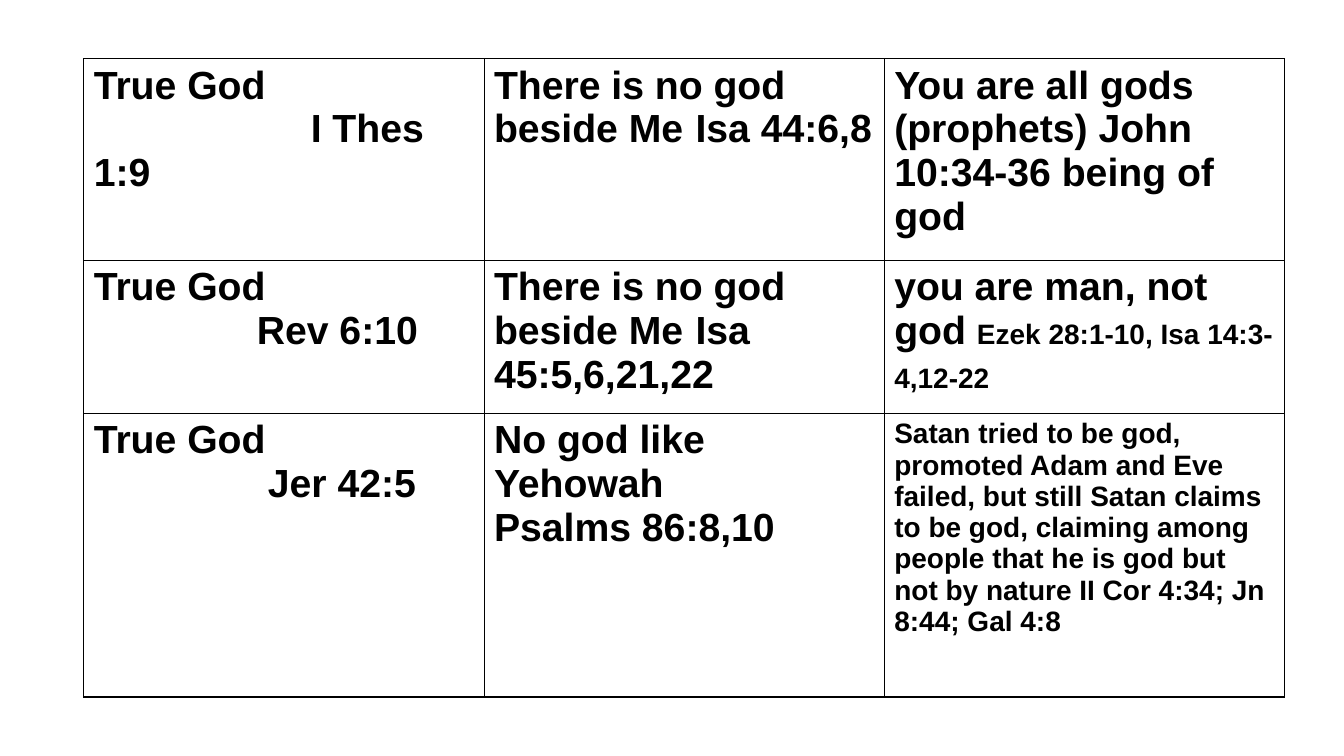
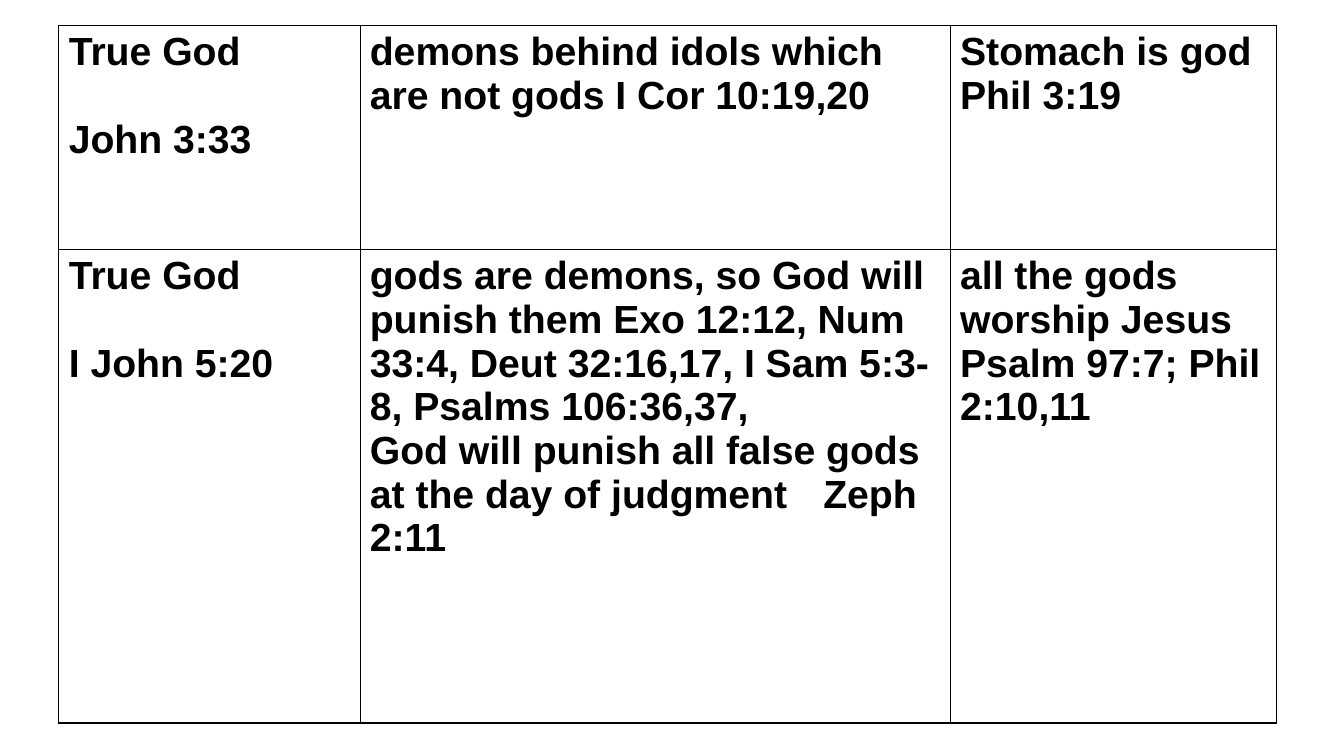
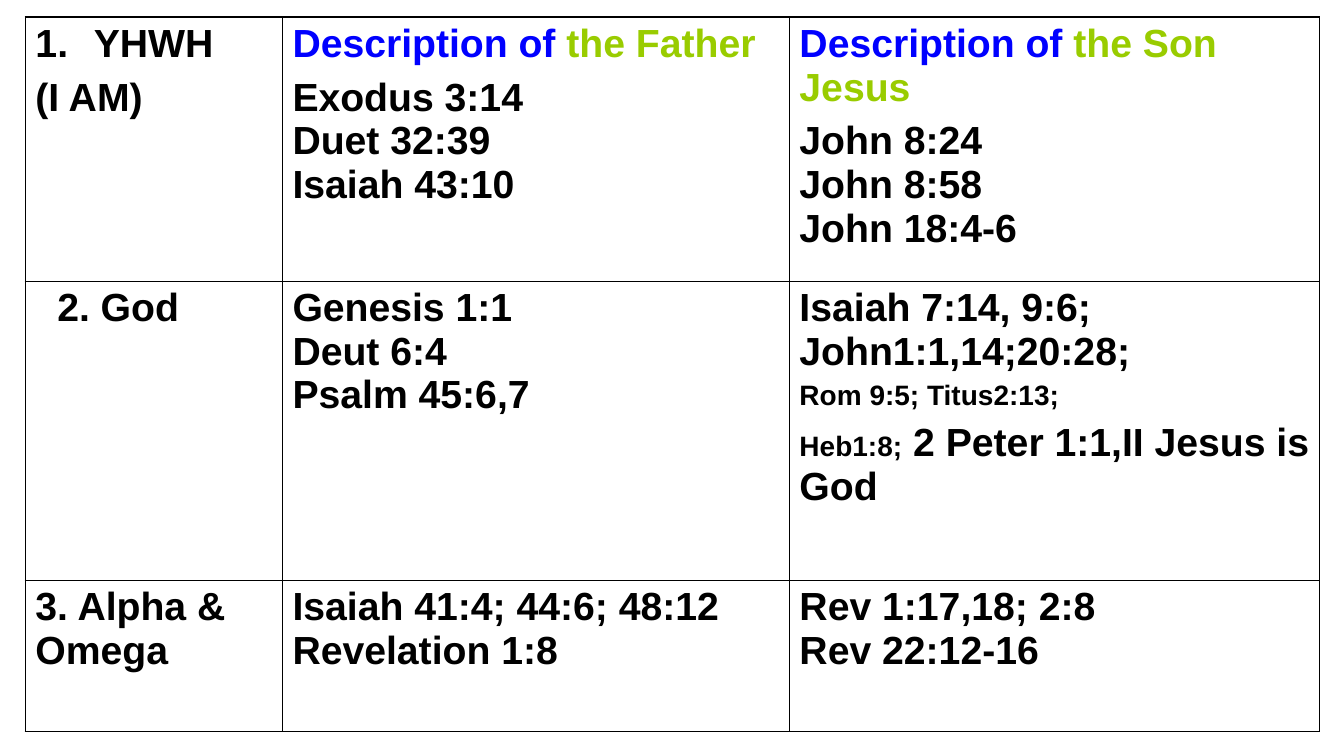
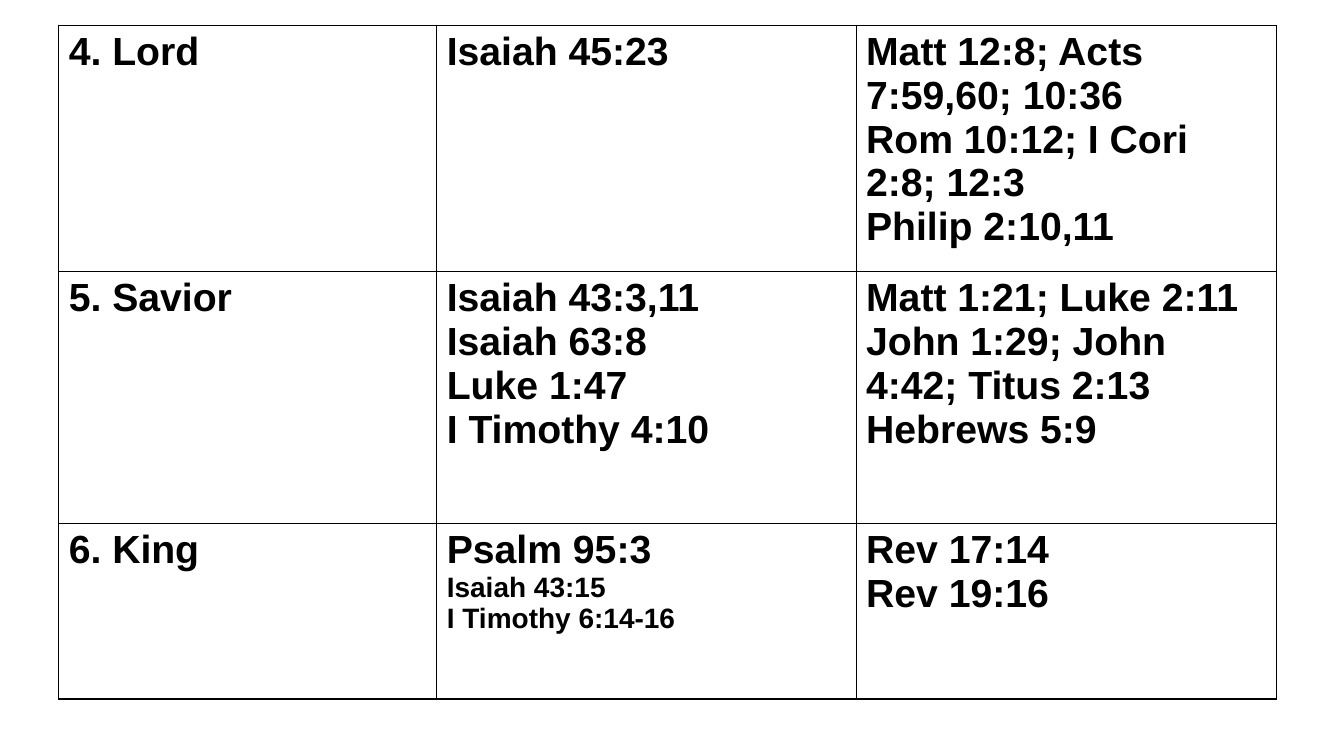
from dataclasses import dataclass

from lxml import etree
from pptx import Presentation
from pptx.dml.color import RGBColor
from pptx.oxml.ns import qn
from pptx.util import Cm, Pt


# Shared look
@dataclass(frozen=True)
class Theme:
    font: str = "Arial"
    body: float = 28
    small: float = 20
    black: str = "000000"
    blue: str = "0000FF"
    green: str = "99CC00"
    space: float = 7
    small_space: float = 5
    body_line: float = 31.3
    outer_border: float = 1.08
    inner_border: float = 0.45


THEME = Theme()
BLANK_LAYOUT = 6


@dataclass
class Run:
    text: str
    size: float = THEME.body
    color: str = THEME.black
    bold: bool = True


@dataclass
class Line:
    """One paragraph; indent, margin and tab are in centimetres, before in points."""
    runs: tuple
    before: float = 0
    indent: float = 0
    margin: float = 0
    tab: float = 0
    numbered: bool = False


def line(*parts, **layout):
    """Make a paragraph from plain strings and Run objects."""
    runs = tuple(Run(part) if isinstance(part, str) else part for part in parts)
    return Line(runs, **layout)


def small(text):
    return Run(text, size=THEME.small)


def true_god(reference, **layout):
    """The title with its reference on a line of its own."""
    return [line("True God"), line(reference, **layout)]


def description(person, references):
    """The coloured column heading with its list of references."""
    heading = line(Run("Description of ", color=THEME.blue),
                   Run(person, color=THEME.green))
    return [heading, line(references, before=THEME.space)]


# Text
def add_text(paragraph, text, *, size, color, bold):
    for index, piece in enumerate(text.split("\n")):
        if index:
            paragraph.add_line_break()
        if piece:
            run = paragraph.add_run()
            run.text = piece
            run.font.name = THEME.font
            run.font.size = Pt(size)
            run.font.bold = bold
            run.font.color.rgb = RGBColor.from_string(color)


def format_paragraph(paragraph, content):
    properties = paragraph._p.get_or_add_pPr()
    properties.set("marL", str(Cm(content.margin)))
    properties.set("indent", str(Cm(content.indent)))
    if content.numbered:
        etree.SubElement(properties, qn("a:buAutoNum"), type="arabicPeriod")
    else:
        etree.SubElement(properties, qn("a:buNone"))
    if content.tab:
        tabs = etree.SubElement(properties, qn("a:tabLst"))
        etree.SubElement(tabs, qn("a:tab"), pos=str(Cm(content.tab)), algn="l")
    paragraph.space_before = Pt(content.before)


def fill_cell(cell, content):
    """Accept a string, a paragraph or a list of paragraphs."""
    if isinstance(content, str):
        content = line(content)
    paragraphs = content if isinstance(content, list) else [content]
    frame = cell.text_frame
    for index, item in enumerate(paragraphs):
        paragraph = frame.add_paragraph() if index else frame.paragraphs[0]
        format_paragraph(paragraph, item)
        for run in item.runs:
            add_text(paragraph, run.text, size=run.size, color=run.color, bold=run.bold)


# Table
def set_borders(cell, outer_sides):
    properties = cell._tc.get_or_add_tcPr()
    for side, is_outer in outer_sides.items():
        width = THEME.outer_border if is_outer else THEME.inner_border
        border = etree.SubElement(properties, qn(f"a:ln{side}"), w=str(Pt(width)))
        fill = etree.SubElement(border, qn("a:solidFill"))
        etree.SubElement(fill, qn("a:srgbClr"), val=THEME.black)


def add_table_slide(presentation, left, top, widths, heights, rows):
    slide = presentation.slides.add_slide(presentation.slide_layouts[BLANK_LAYOUT])
    shape = slide.shapes.add_table(len(heights), len(widths), Cm(left), Cm(top),
                                   Cm(sum(widths)), Cm(sum(heights)))
    table = shape.table
    table.first_row = False
    table.horz_banding = False
    for column, width in zip(table.columns, widths):
        column.width = Cm(width)
    for row, height in zip(table.rows, heights):
        row.height = Cm(height)
    for row_index, contents in enumerate(rows):
        for column_index, content in enumerate(contents):
            cell = table.cell(row_index, column_index)
            set_borders(cell, {
                "L": column_index == 0,
                "R": column_index == len(widths) - 1,
                "T": row_index == 0,
                "B": row_index == len(heights) - 1,
            })
            cell.fill.background()
            fill_cell(cell, content)


# Slides
def add_true_god_slide(presentation):
    isaiah_tab = 7.77
    add_table_slide(presentation, 2.11, 1.48, [10.09] * 3, [5.08, 3.86, 7.14], [
        [true_god("I Thes 1:9", indent=5.47),
         line("There is no god beside Me\tIsa 44:6,8", tab=isaiah_tab),
         "You are all gods (prophets) John 10:34-36 being of god"],
        [true_god("Rev 6:10", indent=4.11),
         line("There is no god beside Me\tIsa 45:5,6,21,22", tab=isaiah_tab),
         line("you are man, not god ", small("Ezek 28:1-10, Isa 14:3-4,12-22"),
              Run(" ", bold=False))],
        [true_god("Jer 42:5", indent=4.39),
         "No god like Yehowah\nPsalms 86:8,10",
         line(small("Satan tried to be god, promoted Adam and Eve failed, but still "
                    "Satan claims to be god, claiming among people that he is god but "
                    "not by nature II Cor 4:34; Jn 8:44; Gal 4:8"))],
    ])


def add_false_gods_slide(presentation):
    add_table_slide(presentation, 1.48, 0.64, [7.59, 14.88, 8.22], [5.64, 11.94], [
        [true_god("John 3:33", before=THEME.body_line),
         "demons behind idols which are not gods I Cor 10:19,20",
         "Stomach is god Phil 3:19"],
        [true_god("I John 5:20", before=THEME.body_line),
         line("gods are demons, so God will punish them Exo 12:12, Num 33:4, "
              "Deut 32:16,17, I Sam 5:3-8, Psalms 106:36,37,\n"
              "God will punish all false gods at the day of judgment\tZeph 2:11",
              tab=11.91),
         "all the gods worship Jesus Psalm 97:7; Phil 2:10,11"],
    ])


def add_father_and_son_slide(presentation):
    hanging = {"margin": 1.47, "indent": -1.47}
    add_table_slide(presentation, 0.64, 0.43, [6.48, 12.78, 13.36], [6.65, 7.54, 3.81], [
        [[line("YHWH", numbered=True, **hanging),
          line("(I AM)", before=THEME.space, **hanging)],
         description("the Father", "Exodus 3:14\nDuet 32:39\nIsaiah 43:10"),
         description("the Son Jesus", "John 8:24\nJohn 8:58\nJohn 18:4-6")],
        [line("2. God", indent=0.55),
         "Genesis 1:1\nDeut 6:4\nPsalm 45:6,7",
         [line("Isaiah 7:14, 9:6; John1:1,14;20:28;"),
          line(small("Rom 9:5; Titus2:13;"), before=THEME.small_space),
          line(small("Heb1:8;"), " 2 Peter 1:1,II Jesus is God", before=THEME.space)]],
        ["3. Alpha & Omega",
         "Isaiah 41:4; 44:6; 48:12\nRevelation 1:8",
         "Rev 1:17,18; 2:8\nRev 22:12-16"],
    ])


def add_titles_slide(presentation):
    add_table_slide(presentation, 1.48, 0.64, [9.53, 10.57, 10.59], [6.2, 6.35, 4.42], [
        ["4. Lord",
         "Isaiah 45:23",
         "Matt 12:8; Acts 7:59,60; 10:36\nRom 10:12; I Cori 2:8; 12:3\nPhilip 2:10,11"],
        ["5. Savior",
         "Isaiah 43:3,11\nIsaiah 63:8\nLuke 1:47\nI Timothy 4:10",
         "Matt 1:21; Luke 2:11\nJohn 1:29; John 4:42; Titus 2:13 Hebrews 5:9"],
        ["6. King",
         line("Psalm 95:3\n", small("Isaiah 43:15\nI Timothy 6:14-16")),
         "Rev 17:14\nRev 19:16"],
    ])


def main():
    presentation = Presentation()
    presentation.slide_width = Cm(33.88)
    presentation.slide_height = Cm(19.05)
    add_true_god_slide(presentation)
    add_false_gods_slide(presentation)
    add_father_and_son_slide(presentation)
    add_titles_slide(presentation)
    presentation.save("out.pptx")


if __name__ == "__main__":
    main()
